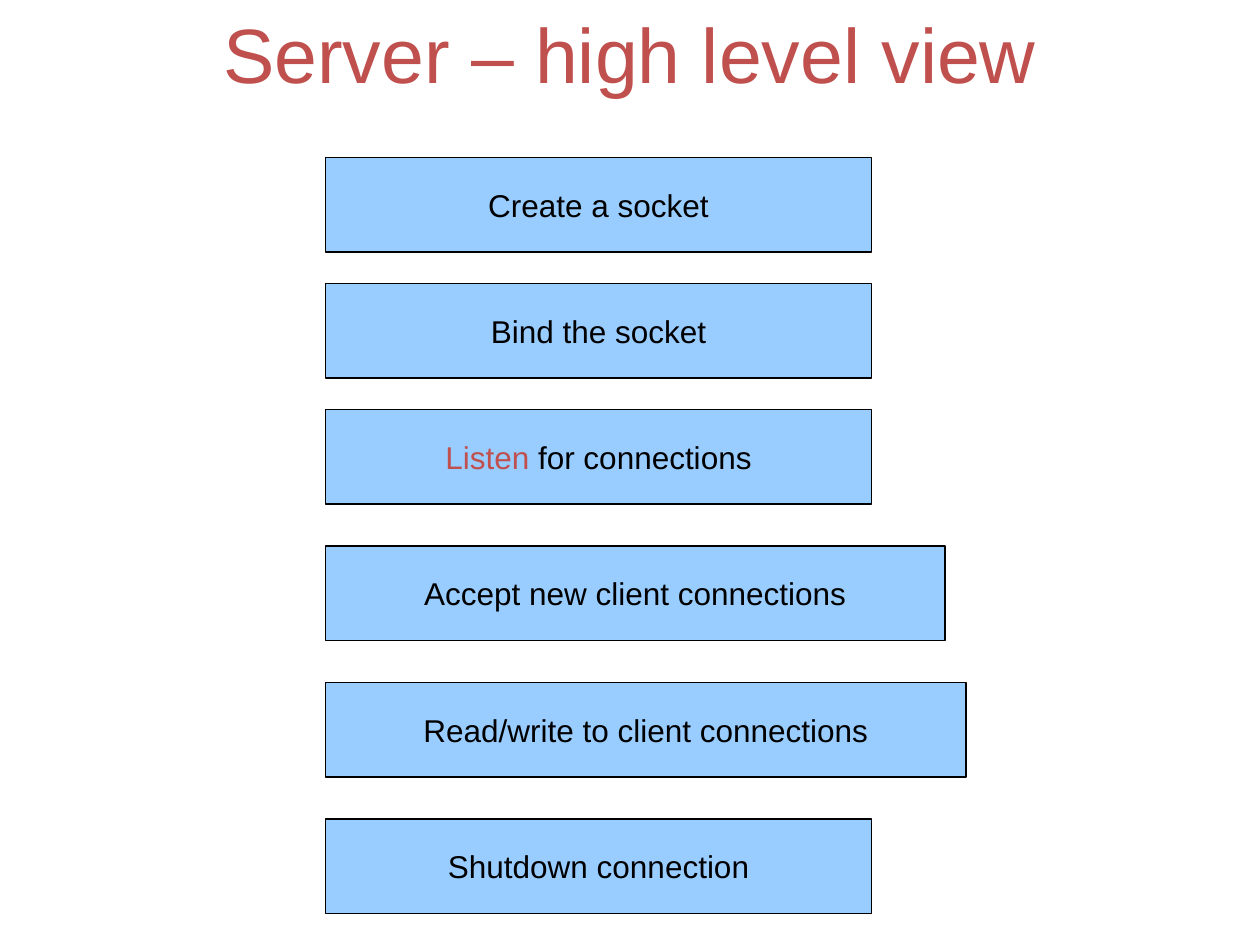
from dataclasses import dataclass

from pptx import Presentation
from pptx.dml.color import RGBColor
from pptx.enum.shapes import MSO_SHAPE
from pptx.enum.text import MSO_ANCHOR, MSO_AUTO_SIZE, PP_ALIGN
from pptx.util import Pt

RECTANGLE = MSO_SHAPE.RECTANGLE
MIDDLE = MSO_ANCHOR.MIDDLE
CENTER = PP_ALIGN.CENTER
NO_AUTOFIT = MSO_AUTO_SIZE.NONE
TITLE_ONLY = 5


@dataclass(frozen=True)
class Theme:
    """Colours, typeface and type sizes of the slide."""

    accent: RGBColor = RGBColor(0xC0, 0x50, 0x4D)
    ink: RGBColor = RGBColor(0, 0, 0)
    box: RGBColor = RGBColor(0x99, 0xCC, 0xFF)
    typeface: str = "Arial"
    title_size: int = 44
    step_size: int = 18


THEME = Theme()
SLIDE_WIDTH, SLIDE_HEIGHT = 720, 540
STEP_LEFT, STEP_HEIGHT = 186, 54
FIRST_TOP = 90
NARROW, WIDE, WIDEST = 312, 354, 366
TIGHT_GAP, LOOSE_GAP = 18, 24

STEPS = [
    ([("Create a socket", THEME.ink)], NARROW, TIGHT_GAP),
    ([("Bind the socket", THEME.ink)], NARROW, TIGHT_GAP),
    ([("Listen", THEME.accent), (" for connections", THEME.ink)], NARROW, LOOSE_GAP),
    ([("Accept new client connections", THEME.ink)], WIDE, LOOSE_GAP),
    ([("Read/write to client connections", THEME.ink)], WIDEST, LOOSE_GAP),
    ([("Shutdown connection", THEME.ink)], NARROW, LOOSE_GAP),
]


def write_centred(frame, phrases, size):
    """Fill a text frame with one centred paragraph of coloured phrases."""
    frame.auto_size = NO_AUTOFIT
    frame.vertical_anchor = MIDDLE
    paragraph = frame.paragraphs[0]
    paragraph.alignment = CENTER
    paragraph.font.name = THEME.typeface
    paragraph.font.size = Pt(size)
    paragraph.font.color.rgb = phrases[0][1]
    for wording, colour in phrases:
        phrase = paragraph.add_run()
        phrase.text = wording
        if len(phrases) > 1:
            phrase.font.color.rgb = colour


def add_title(slide, wording):
    """Place the heading across the top of the slide."""
    title = slide.shapes.title
    title.left, title.top = Pt(0), Pt(0)
    title.width, title.height = Pt(SLIDE_WIDTH), Pt(60)
    title.text_frame.word_wrap = True
    write_centred(title.text_frame, [(wording, THEME.accent)], THEME.title_size)


def add_step(slide, phrases, top, width):
    """Draw one outlined step box with its label."""
    step = slide.shapes.add_shape(
        RECTANGLE, Pt(STEP_LEFT), Pt(top), Pt(width), Pt(STEP_HEIGHT)
    )
    step.shadow.inherit = False
    step.fill.solid()
    step.fill.fore_color.rgb = THEME.box
    step.line.color.rgb = THEME.ink
    step.line.width = Pt(0.75)
    step.text_frame.word_wrap = False
    write_centred(step.text_frame, phrases, THEME.step_size)


def main():
    """Build the server overview slide and save it."""
    presentation = Presentation()
    presentation.slide_width = Pt(SLIDE_WIDTH)
    presentation.slide_height = Pt(SLIDE_HEIGHT)
    slide = presentation.slides.add_slide(presentation.slide_layouts[TITLE_ONLY])
    add_title(slide, "Server – high level view")
    top = FIRST_TOP
    for phrases, width, gap_below in STEPS:
        add_step(slide, phrases, top, width)
        top += STEP_HEIGHT + gap_below
    presentation.save("out.pptx")


if __name__ == "__main__":
    main()
